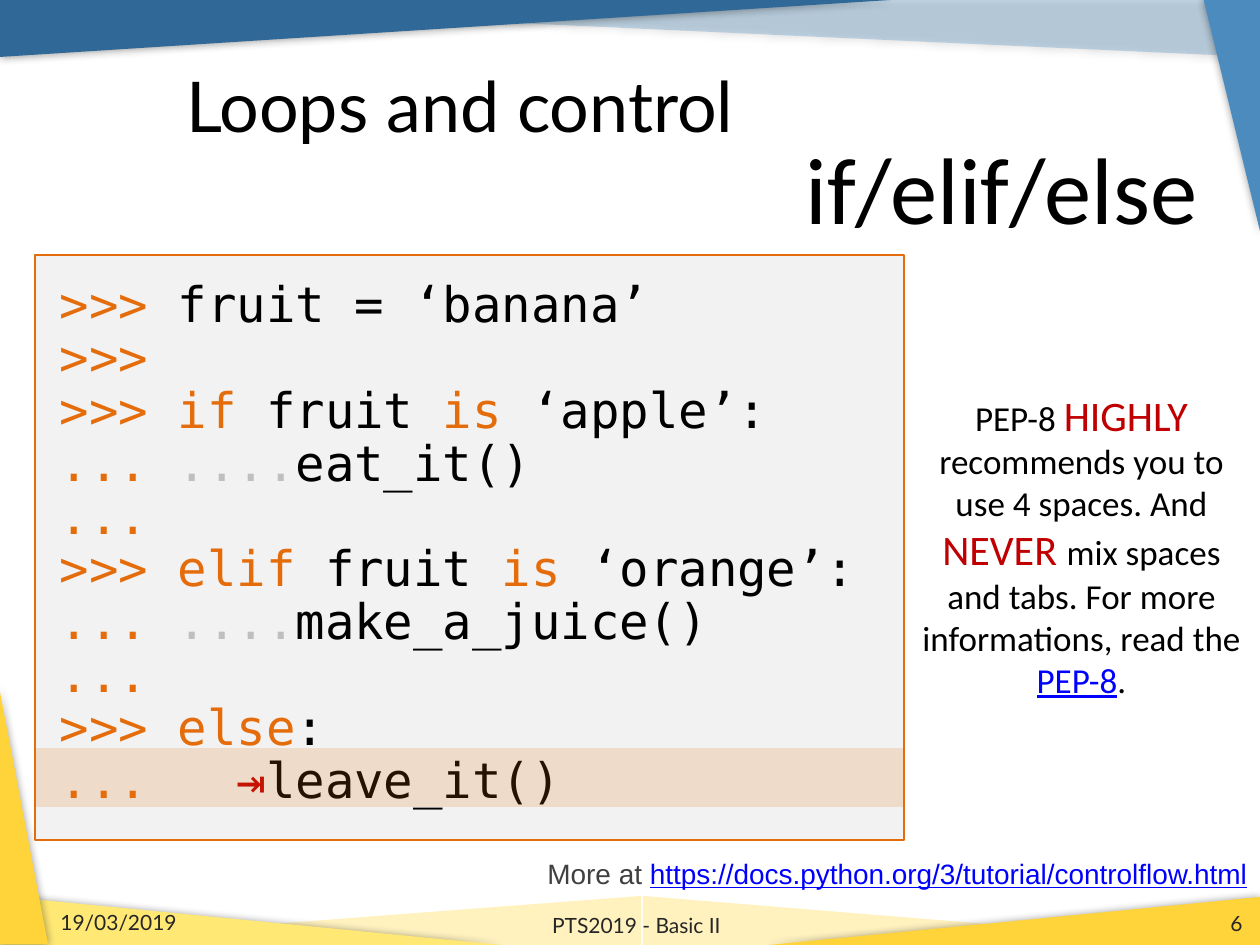
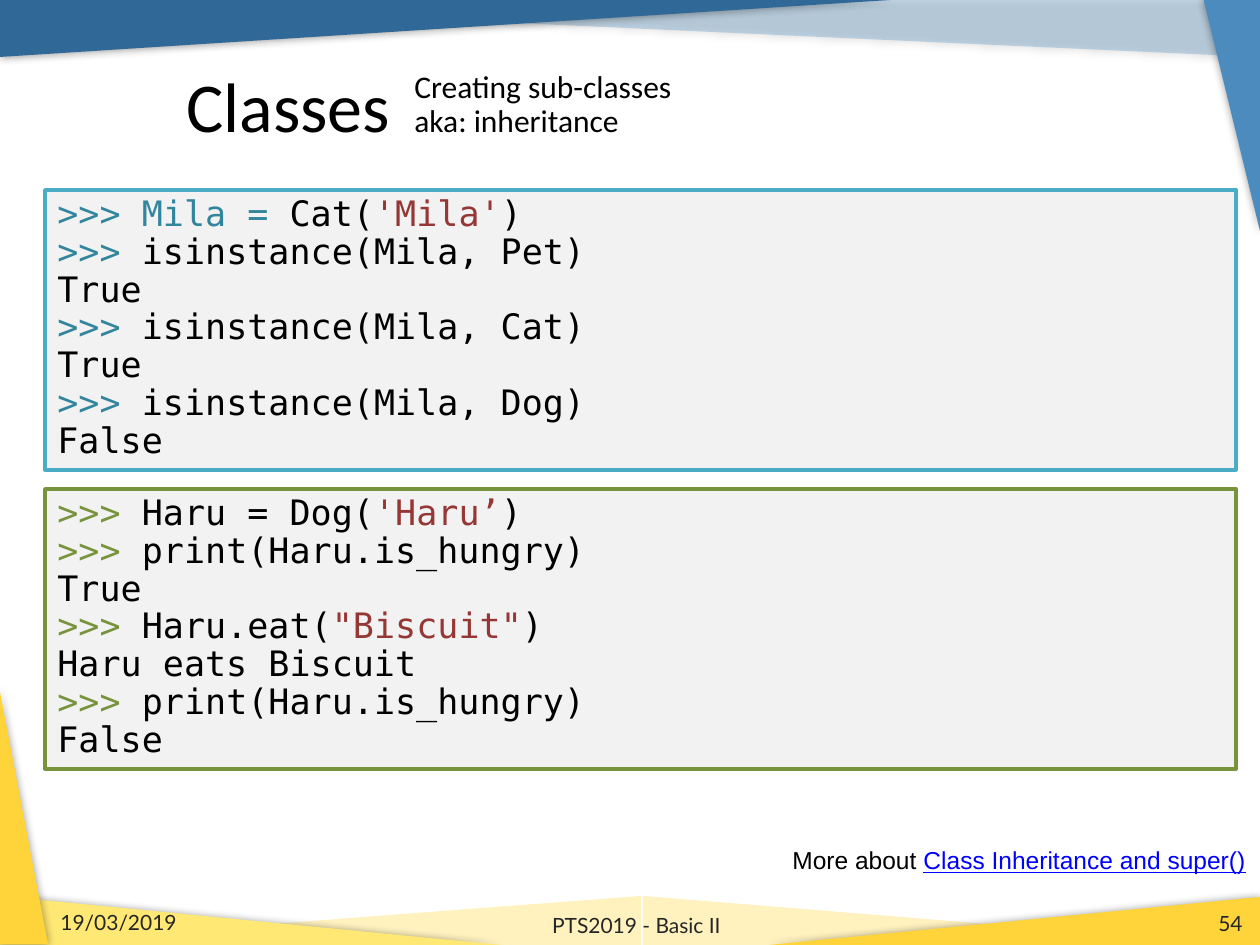
from lxml.etree import SubElement
from pptx import Presentation
from pptx.dml.color import RGBColor
from pptx.enum.shapes import MSO_SHAPE
from pptx.enum.text import MSO_ANCHOR, PP_ALIGN
from pptx.oxml.ns import qn
from pptx.util import Emu, Pt

SCALE = 914400 / 126  # EMU in one pixel
WIDE, HIGH = 1260, 945

# Colours
BLACK, INK, GREY, DOTS, PALE = "000000", "262626", "404040", "BFBFBF", "F2F2F2"
NAVY, BLUE = "306998", "4B8BBE"
GOLD, LEMON, CREAM = "FFD43B", "FFE873", "FFF2BF"
ORANGE, RED, LINK = "E46C0A", "C00000", "0000FF"
AQUA, TEAL, GREEN, BRICK = "4BACC6", "31859C", "77933C", "953735"

# Fonts
LATO, SANS, ARIAL, MONO = "Lato", "Calibri", "Arial", "DejaVu Sans Mono"

LEFT, MID, RIGHT = PP_ALIGN.LEFT, PP_ALIGN.CENTER, PP_ALIGN.RIGHT

# Bands: left, top, width, height, turn, flips, colour, alpha, shadow
BANDS = [
    (16, 0, 1241, 57, 180, "H", BLUE, 30, True),
    (643, 896, 602, 49, 0, "H", CREAM, 100, False),
    (-5, 896, 646, 49, 0, "", CREAM, 100, False),
    (0, 896, 501, 49, 0, "H", LEMON, 100, True),
    (769, 897, 491, 48, 0, "", GOLD, 100, True),
    (0, 0, 891, 57, 0, "HV", NAVY, 100, True),
    (1115, 88, 234, 57, 90, "HV", BLUE, 100, True),
    (-105, 791, 257, 49, 90, "", GOLD, 100, True),
]


def px(*nums):
    return [Emu(round(n * SCALE)) for n in nums]


def tint(code):
    return RGBColor.from_string(code)


def fade(node, share):
    SubElement(node, qn("a:alpha"), val=str(share * 1000))


def shape(slide, kind, box, fill, alpha=100, line=None, width=1):
    """Add a flat preset shape."""
    item = slide.shapes.add_shape(kind, *px(*box))
    item.shadow.inherit = False
    item.fill.solid()
    item.fill.fore_color.rgb = tint(fill)
    if alpha < 100:
        fade(item._element.spPr.find(".//" + qn("a:srgbClr")), alpha)
    if line:
        item.line.color.rgb = tint(line)
        item.line.width = Pt(width)
    else:
        item.line.fill.background()
    return item


def band(slide, left, top, width, height, turn, flips, fill, alpha, shade):
    """Add a right-angled triangle at the edge of the slide."""
    item = shape(slide, MSO_SHAPE.ISOSCELES_TRIANGLE,
                 (left, top, width, height), fill, alpha)
    item.adjustments[0] = 1
    item.rotation = turn
    props = item._element.spPr
    for axis in flips:
        props.xfrm.set("flip" + axis, "1")
    if shade:
        glow = SubElement(props.find(qn("a:effectLst")), qn("a:outerShdw"),
                          blurRad=str(Pt(5)), dist="0", dir="0")
        fade(SubElement(glow, qn("a:srgbClr"), val=BLACK), 40)


def write(frame, lines, size, font, align=LEFT, space=None):
    """Fill a frame; a run is (text, colour) or (text, colour, size)."""
    for i, runs in enumerate(lines):
        para = frame.add_paragraph() if i else frame.paragraphs[0]
        para.alignment = align
        para.line_spacing = space
        for text, hue, *own in runs:
            run = para.add_run()
            run.text = text
            run.font.name = font
            run.font.size = Pt(own[0] if own else size)
            run.font.color.rgb = tint(hue)
            if hue == LINK:
                run.font.underline = True


def label(slide, box, lines, size, font, align=LEFT,
          anchor=MSO_ANCHOR.MIDDLE, space=None, wrap=True):
    frame = slide.shapes.add_textbox(*px(*box)).text_frame
    frame.word_wrap = wrap
    frame.vertical_anchor = anchor
    write(frame, lines, size, font, align, space)


def code(slide, box, lines, size, line, width, pad=None):
    """Add a framed listing."""
    item = shape(slide, MSO_SHAPE.RECTANGLE, box, PALE, line=line, width=width)
    frame = item.text_frame
    frame.word_wrap = True
    frame.vertical_anchor = MSO_ANCHOR.TOP
    if pad:
        inset = px(pad)[0]
        frame.margin_left = frame.margin_right = inset
        frame.margin_top = frame.margin_bottom = inset
    write(frame, lines, size, MONO, space=0.9)


def start(deck, title, font, page):
    """Add a slide with its bands, title and footer."""
    slide = deck.slides.add_slide(deck.slide_layouts[6])
    for row in BANDS:
        band(slide, *row)
    label(slide, (174, 55, 1023, 100), [[(title, BLACK)]], 40, font)
    for box, text, align in [
        ((48, 908, 294, 29), "19/03/2019", LEFT),
        ((437, 900, 399, 50), "PTS2019 - Basic II", MID),
        ((961, 908, 294, 30), str(page), RIGHT),
    ]:
        label(slide, box, [[(text, INK)]], 12, LATO, align)
    return slide


def loops(deck):
    slide = start(deck, "Loops and control", LATO, 6)
    label(slide, (0, 849, WIDE, 47), [[
        ("More at ", GREY),
        ("https://docs.python.org/3/tutorial/controlflow.html", LINK),
    ]], 16, ARIAL, RIGHT, MSO_ANCHOR.BOTTOM)

    # Listing
    def test(word, fruit):
        return [(f">>> {word} ", ORANGE), ("fruit ", BLACK),
                ("is ", ORANGE), (f"‘{fruit}’:", BLACK)]

    def call(name):
        return [("... ", ORANGE), ("....", DOTS), (name, BLACK)]

    more = [("...", ORANGE)]
    code(slide, (35, 255, 869, 585), [
        [(">>> ", ORANGE), ("fruit = ‘banana’", BLACK)],
        [(">>>", ORANGE)],
        test("if", "apple"), call("eat_it()"), more,
        test("elif", "orange"), call("make_a_juice()"), more,
        [(">>> else", ORANGE), (":", BLACK)],
        [("...   ", ORANGE), ("⇥", RED), ("leave_it()", BLACK)],
    ], 28, ORANGE, 1, pad=25)

    # Heading and advice
    label(slide, (709, 136, 585, 116), [[("if/elif/else", BLACK)]],
          54, SANS, MID, space=0.9)
    label(slide, (905, 383, 353, 326), [[
        ("PEP-8 ", BLACK), ("HIGHLY ", RED, 24),
        ("recommends you to use 4 spaces. And ", BLACK),
        ("NEVER ", RED, 24),
        ("mix spaces and tabs. For more informations, read the ", BLACK),
        ("PEP-8", LINK), (".", BLACK),
    ]], 20, SANS, MID, MSO_ANCHOR.TOP)

    # Highlight on the tabbed line
    shape(slide, MSO_SHAPE.RECTANGLE, (35, 748, 869, 59), ORANGE, 17)


def classes(deck):
    slide = start(deck, "Classes", SANS, 54)
    label(slide, (402, 64, 564, 82), [
        [("Creating sub-classes", BLACK)], [("aka: inheritance", BLACK)],
    ], 18, SANS, space=0.9)

    # Listings
    def ask(hue, text, name=None):
        runs = [(">>> ", hue), (text, BLACK)]
        return runs + [(name, BRICK), (")", BLACK)] if name else runs

    def say(text):
        return [(text, BLACK)]

    cat = [[(">>> Mila = ", TEAL), ("Cat(", BLACK),
            ("'Mila'", BRICK), (")", BLACK)]]
    for kind, reply in [("Pet", "True"), ("Cat", "True"), ("Dog", "False")]:
        cat += [ask(TEAL, f"isinstance(Mila, {kind})"), say(reply)]
    hungry = ask(GREEN, "print(Haru.is_hungry)")
    dog = [
        ask(GREEN, "Haru = Dog(", "'Haru’"),
        hungry, say("True"),
        ask(GREEN, "Haru.eat(", '"Biscuit"'), say("Haru eats Biscuit"),
        hungry, say("False"),
    ]
    for i, (lines, edge) in enumerate([(cat, AQUA), (dog, GREEN)]):
        code(slide, (45, 190 + 299 * i, 1191, 280), lines, 20, edge, 2)

    label(slide, (780, 839, 480, 43), [[
        ("More about ", BLACK), ("Class Inheritance and super()", LINK),
    ]], 14, ARIAL, anchor=MSO_ANCHOR.TOP, wrap=False)


def main():
    deck = Presentation()
    deck.slide_width, deck.slide_height = px(WIDE, HIGH)
    loops(deck)
    classes(deck)
    deck.save("out.pptx")


main()
